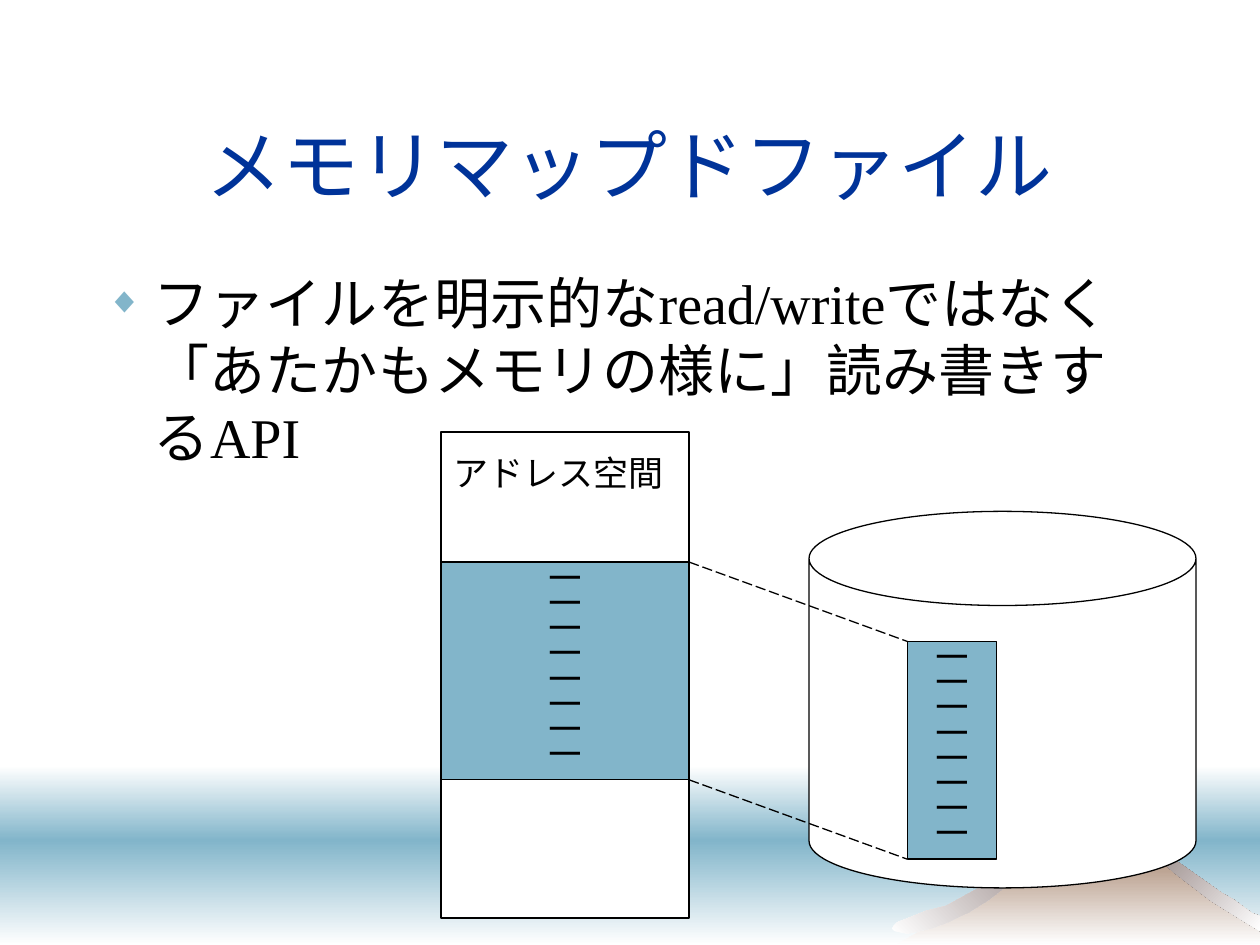
import copy
import lxml.etree
import pptx
import pptx.dml.color
import pptx.enum.dml
import pptx.enum.shapes
import pptx.enum.text
import pptx.oxml.ns
import pptx.util

Cm = pptx.util.Cm
Pt = pptx.util.Pt
RGBColor = pptx.dml.color.RGBColor
SHAPE = pptx.enum.shapes.MSO_SHAPE
ALIGN = pptx.enum.text.PP_ALIGN
ANCHOR = pptx.enum.text.MSO_ANCHOR
qn = pptx.oxml.ns.qn

WHITE = RGBColor(0xFF, 0xFF, 0xFF)
BLACK = RGBColor(0, 0, 0)
NAVY = RGBColor(0x00, 0x33, 0x99)
TEAL = RGBColor(0x82, 0xB5, 0xCA)
SAND = RGBColor(0xBC, 0xA3, 0x92)
BROWN = RGBColor(0x6B, 0x56, 0x53)

GRID = Cm(0.0254)
HILL = [(711, 750), (790, 705), (840, 666), (869, 637), (875, 631), (880, 629),
        (886, 629), (891, 631), (903, 657), (922, 680), (968, 712), (1000, 733),
        (1000, 750)]
RIGHT = [(915, 677), (931, 692), (948, 705), (961, 715), (990, 733), (1000, 739),
         (1000, 727), (994, 725), (979, 714), (970, 709), (929, 680), (912, 664),
         (904, 654), (897, 644), (892, 632), (896, 644), (901, 655), (907, 665)]
LEFT = [(832, 668), (799, 692), (782, 702), (751, 719), (735, 723), (720, 729),
        (712, 732), (709, 735), (708, 737), (710, 739), (720, 741), (730, 739),
        (739, 737), (750, 733), (769, 724), (785, 714), (827, 681), (851, 659),
        (864, 643), (868, 638), (865, 640), (856, 649)]


def shade(shape, tones, angle):
    shape.shadow.inherit = False
    shape.line.fill.background()
    shape.fill.gradient()
    stops = shape.element.spPr.find(qn("a:gradFill")).find(qn("a:gsLst"))
    while len(stops) < len(tones):
        stops.append(copy.deepcopy(stops[0]))
    for i, (stop, tone) in enumerate(zip(shape.fill.gradient_stops, tones)):
        stop.position = i / (len(tones) - 1)
        stop.color.rgb = tone
    shape.fill.gradient_angle = angle


def style(para, size, face, tone):
    for run in para.runs:
        run.font.size = Pt(size)
        run.font.name = face
        run.font.color.rgb = tone


def place(shape, box):
    shape.left, shape.top, shape.width, shape.height = box


def add_box(slide, kind, box, tone):
    shape = slide.shapes.add_shape(kind, *box)
    shape.shadow.inherit = False
    shape.fill.solid()
    shape.fill.fore_color.rgb = tone
    shape.line.color.rgb = BLACK
    shape.line.width = Pt(0.75)
    return shape


def draw_back(slide, box):
    left, top, width, height = box
    sea = top + Cm(16.94)
    sky = top + Cm(15.44)
    bands = [(sky, sea - sky, [WHITE, TEAL]),
             (sea, top + height - sea, [TEAL, WHITE])]
    for start, depth, tones in bands:
        band = slide.shapes.add_shape(SHAPE.RECTANGLE, left, start, width, depth)
        shade(band, tones, 270)
    slopes = [(HILL, [WHITE, SAND, WHITE], 270), (RIGHT, [BROWN, WHITE], 315),
              (LEFT, [WHITE, BROWN], 45)]
    for points, tones, angle in slopes:
        path = slide.shapes.build_freeform(*points[0], scale=GRID)
        path.add_line_segments(points[1:], close=True)
        shade(path.convert_to_shape(left, top), tones, angle)


def write_head(slide, box):
    head = slide.shapes.title
    place(head, box)
    frame = head.text_frame
    frame.text = "メモリマップドファイル"
    frame.vertical_anchor = ANCHOR.MIDDLE
    frame.paragraphs[0].alignment = ALIGN.CENTER
    style(frame.paragraphs[0], 44, "Times New Roman", NAVY)


def write_list(slide, box):
    body = slide.placeholders[1]
    place(body, box)
    frame = body.text_frame
    frame.text = "ファイルを明示的なread/writeではなく「あたかもメモリの様に」読み書きするAPI"
    frame.auto_size = pptx.enum.text.MSO_AUTO_SIZE.NONE
    para = frame.paragraphs[0]
    para.space_before = Pt(8)
    style(para, 32, "Times New Roman", BLACK)
    props = para._p.get_or_add_pPr()
    props.set("marL", str(Cm(0.95)))
    props.set("indent", str(-Cm(0.95)))
    tint = lxml.etree.SubElement(props, qn("a:buClr"))
    lxml.etree.SubElement(tint, qn("a:srgbClr"), val=str(TEAL))
    lxml.etree.SubElement(props, qn("a:buSzPct"), val="65000")
    lxml.etree.SubElement(props, qn("a:buChar"), char="◆")


def draw_block(slide, box):
    block = add_box(slide, SHAPE.RECTANGLE, box, TEAL)
    frame = block.text_frame
    frame.word_wrap = False
    frame.vertical_anchor = ANCHOR.MIDDLE
    frame.text = "\n".join("─" * 8)
    for para in frame.paragraphs:
        para.alignment = ALIGN.CENTER
        para.line_spacing = 0.5
        style(para, 24, "Arial", BLACK)
    return block


def draw_space(slide, box):
    left, top, width, height = box
    space = add_box(slide, SHAPE.RECTANGLE, box, WHITE)
    frame = space.text_frame
    frame.word_wrap = False
    frame.vertical_anchor = ANCHOR.TOP
    frame.margin_top = Cm(0.4)
    frame.text = "アドレス空間"
    frame.paragraphs[0].alignment = ALIGN.LEFT
    style(frame.paragraphs[0], 20, "Arial", BLACK)
    return draw_block(slide, (left, top + Cm(2.62), width, Cm(4.39)))


def draw_disk(slide, box):
    left, top = box[:2]
    add_box(slide, SHAPE.CAN, box, WHITE)
    return draw_block(slide, (left + Cm(1.98), top + Cm(2.62), Cm(1.8), Cm(4.39)))


def draw_links(slide, near, far):
    start = near.left + near.width
    for drop in (0, near.height):
        link = slide.shapes.add_connector(
            pptx.enum.shapes.MSO_CONNECTOR.STRAIGHT,
            start, near.top + drop, far.left, far.top + drop)
        link.line.color.rgb = BLACK
        link.line.width = Pt(0.75)
        link.line.dash_style = pptx.enum.dml.MSO_LINE.LONG_DASH
        lxml.etree.SubElement(link.element.spPr, qn("a:effectLst"))


def main():
    deck = pptx.Presentation()
    deck.slide_width, deck.slide_height = Cm(25.4), Cm(19.05)
    slide = deck.slides.add_slide(deck.slide_layouts[1])
    draw_back(slide, (0, 0, deck.slide_width, deck.slide_height))
    write_head(slide, (Cm(1.9), Cm(1.7), Cm(21.59), Cm(3.18)))
    write_list(slide, (Cm(1.9), Cm(5.28), Cm(21.59), Cm(11.43)))
    near = draw_space(slide, (Cm(8.89), Cm(8.71), Cm(5), Cm(9.8)))
    far = draw_disk(slide, (Cm(16.31), Cm(10.31), Cm(7.8), Cm(7.59)))
    draw_links(slide, near, far)
    deck.save("out.pptx")


if __name__ == "__main__":
    main()
